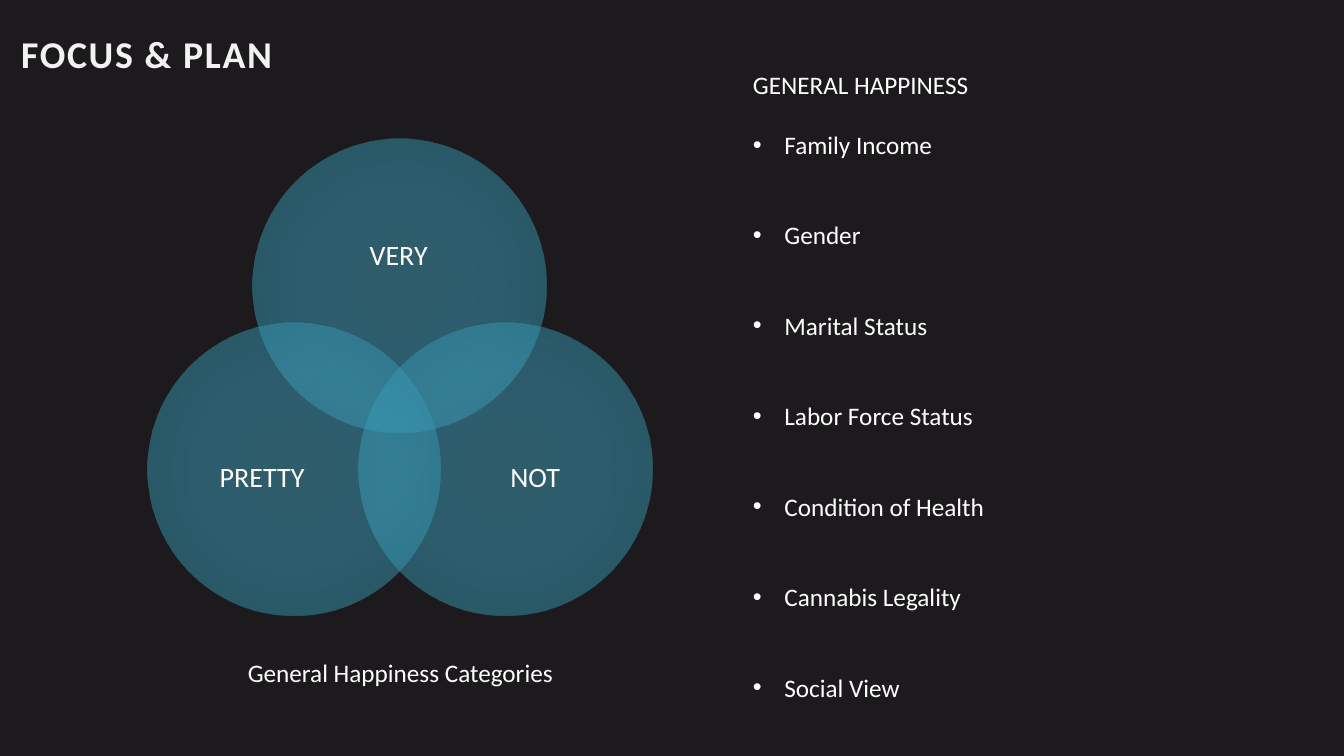
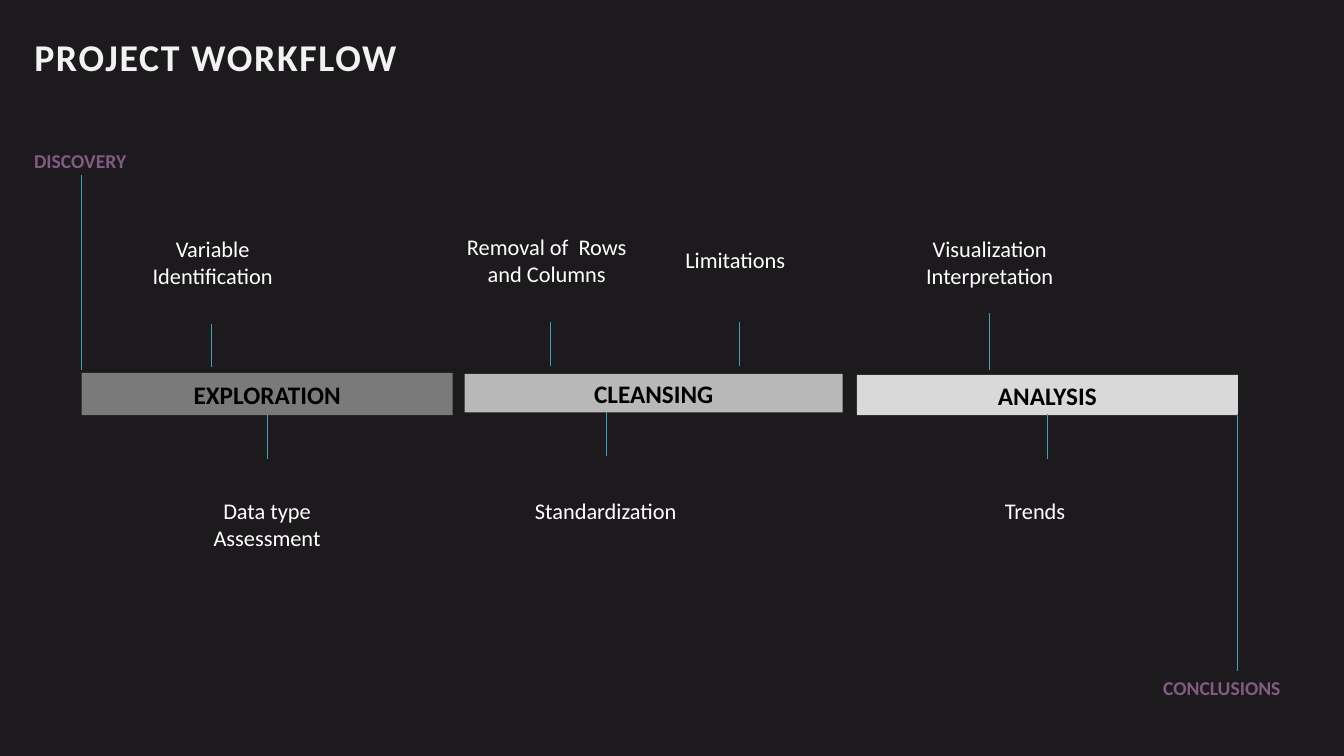
from lxml.etree import SubElement
from pptx import Presentation
from pptx.dml.color import RGBColor
from pptx.enum.shapes import MSO_CONNECTOR, MSO_SHAPE
from pptx.enum.text import MSO_ANCHOR, MSO_AUTO_SIZE, PP_ALIGN
from pptx.oxml import parse_xml
from pptx.oxml.ns import nsdecls, qn
from pptx.util import Pt

FONT = "Calibri"
BACKGROUND, TITLE, WHITE, BLACK = "1D1A1D", "F2F2F2", "FFFFFF", "000000"
LINE, ENDPOINT = "439EB7", "835B82"
VENN_STOPS = ((0, "43A2BC"), (50, "3DA1BD"), (100, "2F8CA5"))

FACTORS = ("Family Income", "Gender", "Marital Status", "Labor Force Status",
           "Condition of Health", "Cannabis Legality", "Social View")
VENN = (
    ("VERY", (180.7, 99.4), (208.1, 136.1, 153.4, 94.3)),
    ("NOT", (256.3, 230.4), (319.7, 284.4, 125.3, 115.2)),
    ("PRETTY", (105.1, 230.4), (124.6, 284.4, 125.3, 115.2)),
)
PHASES = (
    ("EXPLORATION", "7A7A7A", (58.3, 266.4, 265, 30.2)),
    ("CLEANSING", "B8B8B8", (331.9, 267.1, 270, 27.4)),
    ("ANALYSIS", "D9D9D9", (612, 267.8, 272.2, 28.8)),
)
STEPS = (
    ("Variable Identification", (151.9, 164.2), (151.2, 231.1, 262.1)),
    ("Data type Assessment", (190.8, 351.4), (190.8, 295.9, 327.6)),
    ("Removal of  Rows and Columns", (390.6, 162.7), (393.1, 229.7, 261.4)),
    ("Standardization", (432.7, 351.4), (433.4, 294.5, 325.4)),
    ("Limitations", (525.2, 172.1), (527.8, 229.7, 261.4)),
    ("Visualization Interpretation", (707, 164.2), (706.5, 223.9, 264.2)),
    ("Trends", (739.4, 351.4), (748.1, 295.9, 327.6)),
)
ENDPOINTS = (
    ("DISCOVERY", (17.3, 103, 143.3, 24.5), (58.3, 125.3, 264.2)),
    ("CONCLUSIONS", (823.7, 479.5, 131, 24.5), (883.8, 295.9, 479.5)),
)


def rgb(color):
    """Turn a hex string into a colour."""
    return RGBColor.from_string(color)


def place(shape, box):
    """Move and size a shape to a box in points."""
    shape.left, shape.top, shape.width, shape.height = map(Pt, box)


def write(paragraph, text, size, color=WHITE, bold=False, align=PP_ALIGN.LEFT):
    """Fill a paragraph with text in one style."""
    paragraph.text = text
    paragraph.alignment = align
    font = paragraph.font
    font.name, font.size, font.bold = FONT, Pt(size), bold
    font.color.rgb = rgb(color)


def add_title(slide, text, box):
    """Set the slide title in the shared style."""
    title = slide.shapes.title
    place(title, box)
    frame = title.text_frame
    frame.vertical_anchor = MSO_ANCHOR.TOP
    frame.auto_size = MSO_AUTO_SIZE.NONE
    paragraph = frame.paragraphs[0]
    write(paragraph, text, 27, TITLE, bold=True)
    paragraph.runs[0]._r.get_or_add_rPr().set("spc", "120")


def add_label(slide, text, box, size, **style):
    """Add a wrapped text box and return its frame."""
    frame = slide.shapes.add_textbox(*map(Pt, box)).text_frame
    frame.word_wrap = True
    write(frame.paragraphs[0], text, size, **style)
    return frame


def add_line(slide, x, top, bottom):
    """Add a thin vertical line."""
    line = slide.shapes.add_connector(
        MSO_CONNECTOR.STRAIGHT, Pt(x), Pt(top), Pt(x), Pt(bottom))
    line.line.color.rgb = rgb(LINE)
    line.line.width = Pt(0.5)
    SubElement(line._element.spPr, qn("a:effectLst"))


def add_shape(slide, kind, box):
    """Add a preset shape without outline or shadow."""
    shape = slide.shapes.add_shape(kind, *map(Pt, box))
    shape.shadow.inherit = False
    shape.line.fill.background()
    return shape


def add_phase(slide, text, color, box):
    """Add a bar naming a project phase."""
    bar = add_shape(slide, MSO_SHAPE.RECTANGLE, box)
    bar.fill.solid()
    bar.fill.fore_color.rgb = rgb(color)
    bar.text_frame.vertical_anchor = MSO_ANCHOR.MIDDLE
    write(bar.text_frame.paragraphs[0], text, 18, BLACK, True, PP_ALIGN.CENTER)


def add_venn_circle(slide, text, corner, label_box):
    """Add a half transparent circle with its label."""
    circle = add_shape(slide, MSO_SHAPE.OVAL, (*corner, 209.5, 209.5))
    stops = "".join(
        f'<a:gs pos="{position * 1000}"><a:srgbClr val="{color}">'
        '<a:alpha val="50000"/></a:srgbClr></a:gs>'
        for position, color in VENN_STOPS)
    gradient = parse_xml(
        f'<a:gradFill {nsdecls("a")}><a:gsLst>{stops}</a:gsLst>'
        '<a:path path="circle"><a:fillToRect l="100000" t="100000" '
        'r="100000" b="100000"/></a:path></a:gradFill>')
    circle._element.spPr.find(qn("a:prstGeom")).addnext(gradient)
    frame = add_label(slide, text, label_box, 20, align=PP_ALIGN.CENTER)
    frame.vertical_anchor = MSO_ANCHOR.MIDDLE
    frame.margin_left = frame.margin_right = 0
    frame.margin_top = frame.margin_bottom = 0
    frame.paragraphs[0].line_spacing = 0.9


def add_bullets(slide, heading, items):
    """Fill the body placeholder with a heading and a bulleted list."""
    body = slide.placeholders[1]
    place(body, (530.6, 46.1, 378, 465.1))
    frame = body.text_frame
    frame.auto_size = MSO_AUTO_SIZE.NONE
    for index, text in enumerate((heading, *items)):
        paragraph = frame.paragraphs[0] if index == 0 else frame.add_paragraph()
        write(paragraph, text, 18)
        paragraph.space_before = Pt(0)
        paragraph.space_after = Pt(43 if index else 21)
        indent = Pt(22.5) if index else 0
        properties = paragraph._p.get_or_add_pPr()
        properties.set("marL", str(indent))
        properties.set("indent", str(-indent))
        if index:
            bullet = parse_xml(f'<a:buChar {nsdecls("a")} char="•"/>')
        else:
            bullet = parse_xml(f'<a:buNone {nsdecls("a")}/>')
        properties.find(qn("a:defRPr")).addprevious(bullet)


def build_focus(presentation):
    """Build the slide on happiness categories and factors."""
    slide = presentation.slides.add_slide(presentation.slide_layouts[1])
    add_title(slide, "FOCUS & PLAN", (7.9, 18, 256.3, 40.3))
    add_bullets(slide, "GENERAL HAPPINESS", FACTORS)
    for circle in VENN:
        add_venn_circle(slide, *circle)
    add_label(slide, "General Happiness Categories", (169.9, 465.8, 320.4, 28.8), 18)


def build_workflow(presentation):
    """Build the slide on the project workflow."""
    slide = presentation.slides.add_slide(presentation.slide_layouts[5])
    add_title(slide, "PROJECT WORKFLOW", (17.3, 20.2, 337, 40.3))
    for phase in PHASES:
        add_phase(slide, *phase)
    for text, (center, top), line in STEPS:
        add_line(slide, *line)
        add_label(slide, text, (center - 69, top, 138, 46), 16, align=PP_ALIGN.CENTER)
    for text, box, line in ENDPOINTS:
        add_line(slide, *line)
        add_label(slide, text, box, 14, color=ENDPOINT, bold=True)


def main():
    """Build and save the presentation."""
    presentation = Presentation()
    presentation.slide_width, presentation.slide_height = Pt(960), Pt(540)
    fill = presentation.slide_master.background.fill
    fill.solid()
    fill.fore_color.rgb = rgb(BACKGROUND)
    build_focus(presentation)
    build_workflow(presentation)
    presentation.save("out.pptx")


if __name__ == "__main__":
    main()
